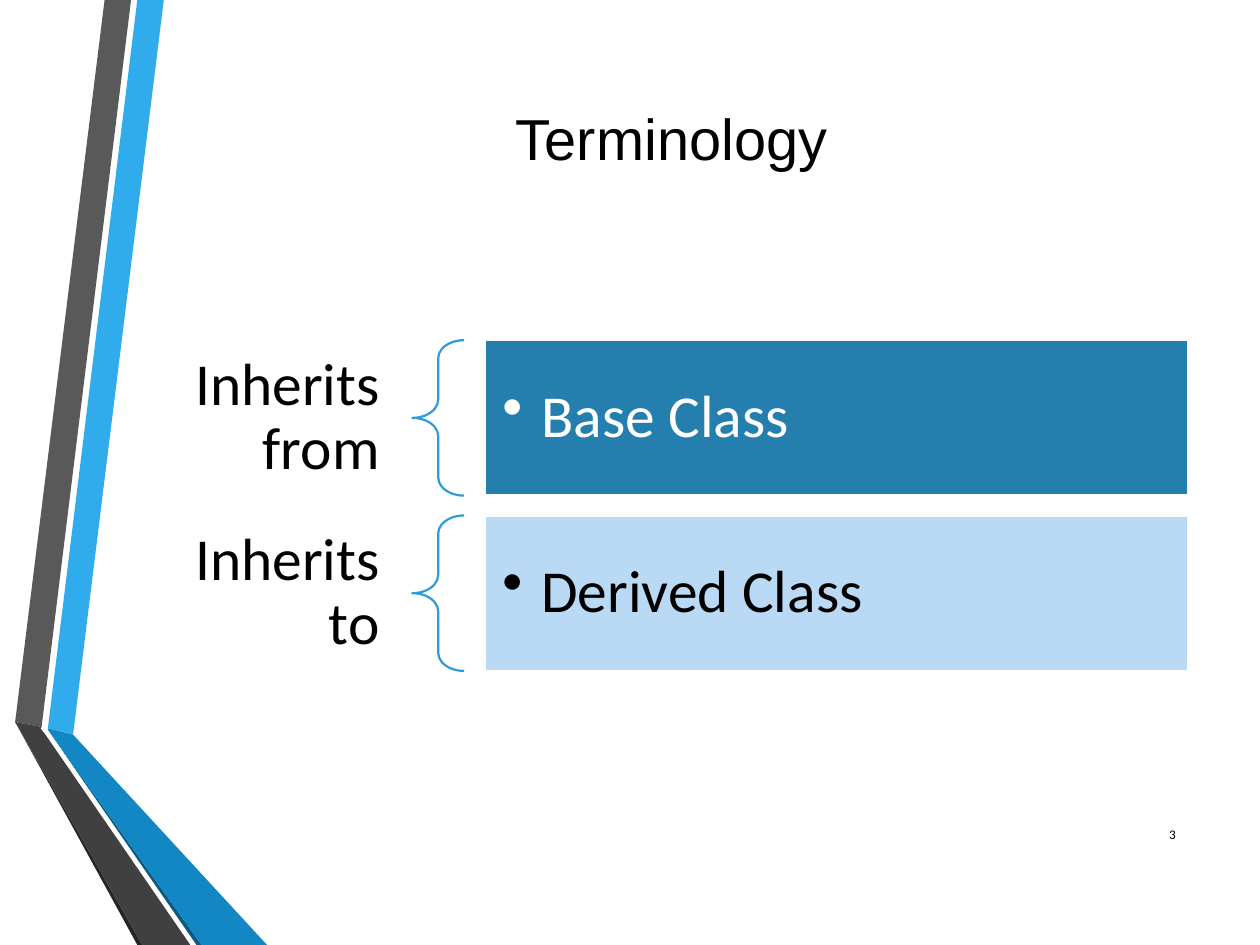
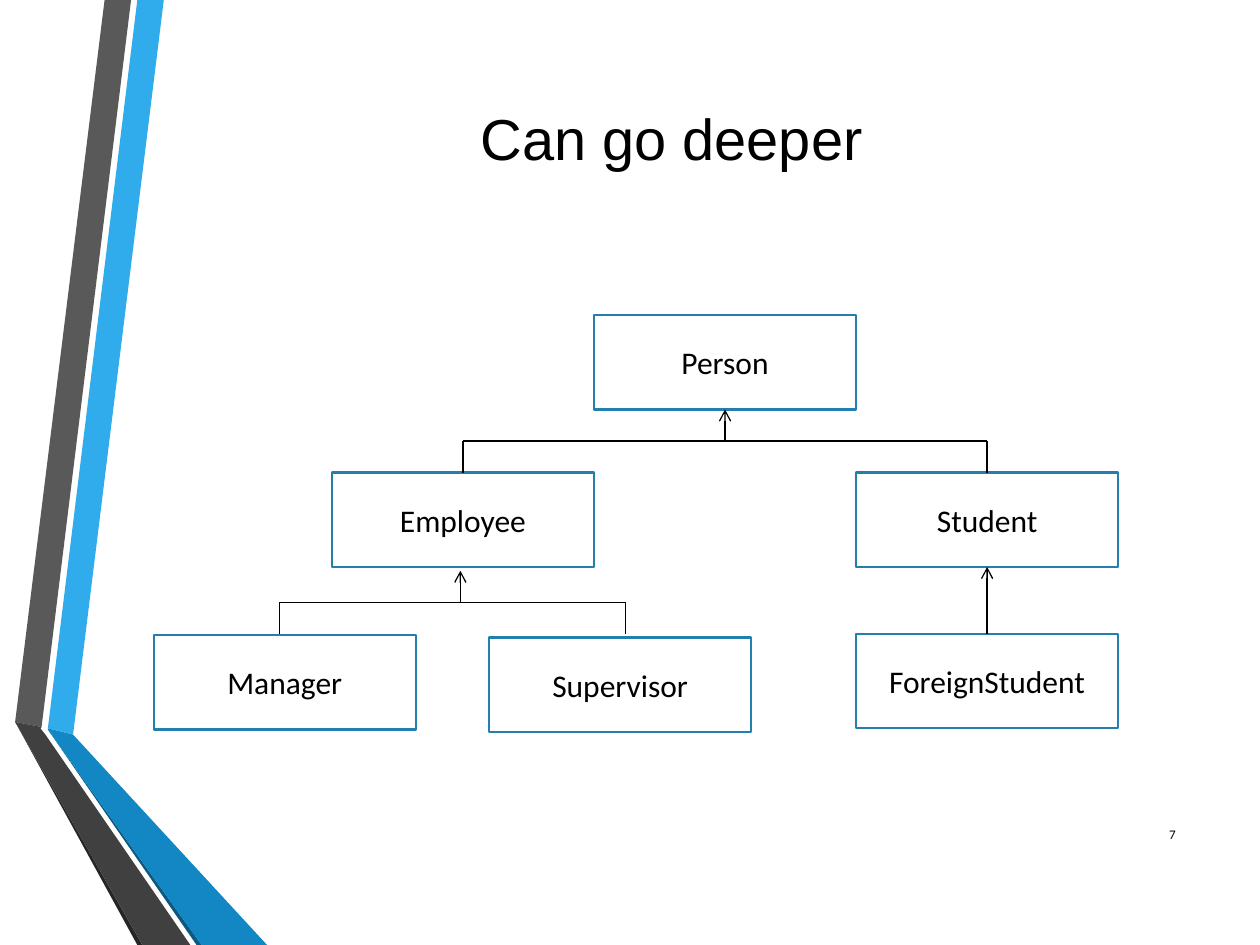
from dataclasses import dataclass

from lxml import etree
from pptx import Presentation
from pptx import util as u
from pptx.dml.color import RGBColor
from pptx.enum import shapes, text
from pptx.oxml.ns import qn

COLORS = {
    "text": "000000", "white": "FFFFFF", "outline": "247FAF", "brace": "2C9CD6",
    "base": "247FAF", "derived": "BAD9F4",
    "blue": "30ACEC", "blue_fold": "1287C3", "blue_edge": "0C5A82",
    "gray": "595959", "gray_fold": "404040", "gray_edge": "262626",
}
WIDTH, HEIGHT = u.Inches(10), u.Inches(7.5)
CENTER, RIGHT, LEFT = text.PP_ALIGN.CENTER, text.PP_ALIGN.RIGHT, text.PP_ALIGN.LEFT

# Outlines in thousandths of the slide width
RIBBONS = [
    ("blue", [(38, 578), (58, 583), (130, 0), (109, 0)]),
    ("gray", [(104, 0), (83, 0), (12, 573), (33, 577)]),
    ("gray_edge", [(12, 573), (109, 750), (113, 750)]),
    ("blue_edge", [(38, 579), (156, 750), (160, 750)]),
    ("blue_fold", [(38, 579), (160, 750), (212, 750), (58, 583), (38, 578)]),
    ("gray_fold", [(151, 750), (36, 583), (32, 578), (33, 577), (12, 573), (113, 750)]),
]


@dataclass
class Box:
    left: float
    top: float
    width: float
    height: float

    def inner(self, left, top, width, height):
        """Return the inner box given as shares of this one."""
        return Box(self.left + left * self.width, self.top + top * self.height,
                   width * self.width, height * self.height)

    def place(self):
        return [int(value) for value in (self.left, self.top, self.width, self.height)]


SLIDE = Box(0, 0, WIDTH, HEIGHT)
TITLE = SLIDE.inner(0.122, 0.07, 0.822, 0.15)
NUMBER = SLIDE.inner(0.898, 0.856, 0.045, 0.053)
TERMS = SLIDE.inner(0.122, 0.36, 0.821, 0.35)
TREE = SLIDE.inner(0.122, 1 / 3, 0.766, 0.44)


def rgb(name):
    return RGBColor.from_string(COLORS[name])


def paint(shape, fill=None, line=None, weight=1.25):
    shape.shadow.inherit = False
    if fill:
        shape.fill.solid()
        shape.fill.fore_color.rgb = rgb(fill)
    else:
        shape.fill.background()
    if line:
        shape.line.color.rgb = rgb(line)
        shape.line.width = u.Pt(weight)
    else:
        shape.line.fill.background()


def write(shape, words, size, align=CENTER, color="text", font="Calibri", inset=(0.1, 0.05)):
    frame = shape.text_frame
    frame.text = words
    frame.word_wrap = True
    frame.vertical_anchor = text.MSO_ANCHOR.MIDDLE
    frame.margin_left = frame.margin_right = u.Inches(inset[0])
    frame.margin_top = frame.margin_bottom = u.Inches(inset[1])
    paragraph = frame.paragraphs[0]
    paragraph.alignment = align
    for run in paragraph.runs:
        run.font.size = u.Pt(size)
        run.font.name = font
        run.font.color.rgb = rgb(color)
    return paragraph


def add_bullet(paragraph, indent):
    properties = paragraph._p.get_or_add_pPr()
    properties.set("marL", str(u.Inches(indent)))
    properties.set("indent", str(-u.Inches(indent)))
    etree.SubElement(properties, qn("a:buChar")).set("char", "•")


def add_ribbons(slide):
    for color, (start, *others) in RIBBONS:
        builder = slide.shapes.build_freeform(*start, scale=WIDTH / 1000)
        builder.add_line_segments(others, close=True)
        paint(builder.convert_to_shape(), color)


def add_frame(presentation, title, number):
    """Add a blank slide with the ribbons, title and slide number."""
    slide = presentation.slides.add_slide(presentation.slide_layouts[6])
    add_ribbons(slide)
    write(slide.shapes.add_textbox(*TITLE.place()), title, 33, font="Arial")
    write(slide.shapes.add_textbox(*NUMBER.place()), number, 7.5, RIGHT)
    return slide


def add_term(slide, box, label, term, fill, color):
    """Add one row: label, brace and filled bar."""
    label_box = slide.shapes.add_textbox(*box.inner(0, 0, 0.25, 1).place())
    write(label_box, label, 34, RIGHT, inset=(0.26, 0.09)).line_spacing = 0.9

    brace = slide.shapes.add_shape(shapes.MSO_SHAPE.LEFT_BRACE,
                                   *box.inner(0.25, 0, 0.05, 1).place())
    brace.adjustments[0] = 0.35
    paint(brace, line="brace")

    bar = slide.shapes.add_shape(shapes.MSO_SHAPE.RECTANGLE,
                                 *box.inner(0.32, 0, 0.68, 1).place())
    paint(bar, fill, "white")
    paragraph = write(bar, term, 34, LEFT, color, inset=(0.14, 0.14))
    paragraph.line_spacing = 0.9
    add_bullet(paragraph, 0.31)


def add_terms(slide, box):
    rows = [("Inherits from", "Base Class", "base", "white"),
            ("Inherits to", "Derived Class", "derived", "text")]
    height = 0.47
    step = (1 - height) / (len(rows) - 1)
    for index, row in enumerate(rows):
        add_term(slide, box.inner(0, index * step, 1, height), *row)


def add_line(slide, start, end, arrow=False):
    points = [int(value) for value in (*start, *end)]
    line = slide.shapes.add_connector(shapes.MSO_CONNECTOR.STRAIGHT, *points)
    line.line.color.rgb = rgb("text")
    line.line.width = u.Pt(0.75)
    properties = line._element.spPr
    if arrow:
        etree.SubElement(properties.get_or_add_ln(), qn("a:tailEnd")).set("type", "arrow")
    etree.SubElement(properties, qn("a:effectLst"))


def add_class_tree(slide, box):
    """Lay out classes on columns one class wide and rows a third of a class high."""
    column, row = 2.08 / 7.66, 0.25 / 3.3
    classes = [("Person", 1.68, 0), ("Employee", 0.68, 5), ("Student", 2.68, 5),
               ("Manager", 0, 10.16), ("Supervisor", 1.28, 10.24),
               ("ForeignStudent", 2.68, 10.12)]
    branches = [(2.18, 3, (1.18, 3.18)), (1.17, 8.12, (0.48, 1.8))]

    def point(x, y):
        spot = box.inner(x * column, y * row, 0, 0)
        return spot.left, spot.top

    for name, x, y in classes:
        place = box.inner(x * column, y * row, column, 3 * row).place()
        node = slide.shapes.add_shape(shapes.MSO_SHAPE.RECTANGLE, *place)
        paint(node, line="outline")
        write(node, name, 18)

    for parent, top, children in branches:
        bus = top + 1
        add_line(slide, point(children[0], bus), point(children[-1], bus))
        add_line(slide, point(parent, bus), point(parent, top), arrow=True)
        for child in children:
            add_line(slide, point(child, bus + 1), point(child, bus))
    add_line(slide, point(3.18, 10.12), point(3.18, 8), arrow=True)


def main():
    presentation = Presentation()
    presentation.slide_width, presentation.slide_height = WIDTH, HEIGHT
    add_terms(add_frame(presentation, "Terminology", "3"), TERMS)
    add_class_tree(add_frame(presentation, "Can go deeper", "7"), TREE)
    presentation.save("out.pptx")


if __name__ == "__main__":
    main()
